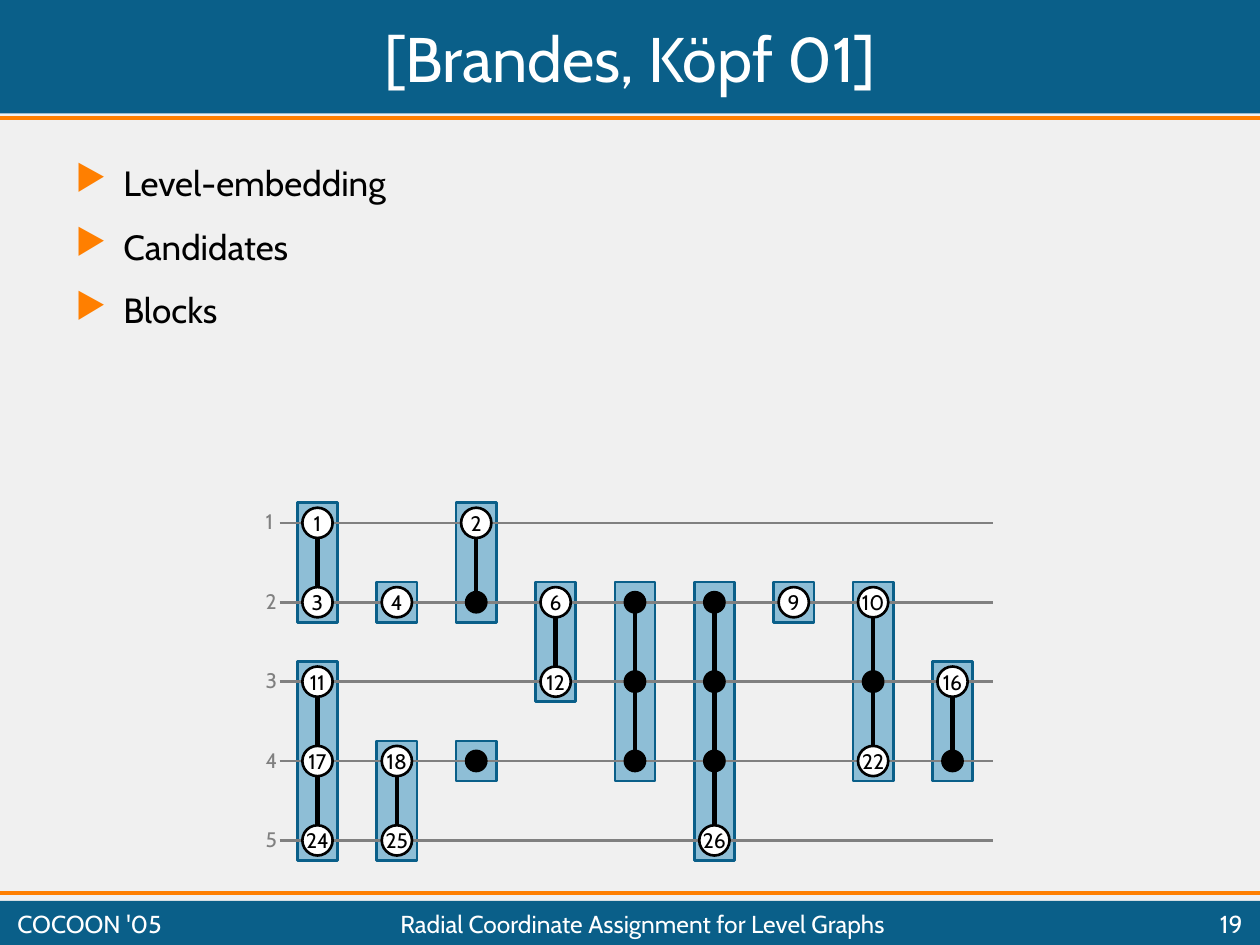
from dataclasses import dataclass
from lxml import etree
from pptx import Presentation
from pptx.dml.color import RGBColor
from pptx.enum import shapes, text
from pptx.oxml.ns import qn
from pptx.util import Inches, Pt


@dataclass(frozen=True)
class Theme:
    font: str = "Cabin"
    background: str = "F0F0F0"
    band: str = "0A5F89"
    accent: str = "FF7F00"
    block: str = "8EBED6"
    level: str = "808080"
    ink: str = "000000"
    paper: str = "FFFFFF"
    title_size: float = 36
    body_size: float = 20
    footer_size: float = 14
    label_size: float = 12


theme = Theme()
WIDTH, HEIGHT = 10, 7.5
STEP = 0.63
BLOCK = 0.32
columns = [2.52 + STEP * column for column in range(9)]
rows = [4.15 + STEP * row for row in range(5)]

presentation = Presentation()
presentation.slide_width = Inches(WIDTH)
presentation.slide_height = Inches(HEIGHT)
slide = presentation.slides.add_slide(presentation.slide_layouts[6])
slide.background.fill.solid()
slide.background.fill.fore_color.rgb = RGBColor.from_string(theme.background)


def add_filled(kind, left, top, width, height, fill, line=None):
    shape = slide.shapes.add_shape(kind, *map(Inches, (left, top, width, height)))
    shape.shadow.inherit = False
    shape.fill.solid()
    shape.fill.fore_color.rgb = RGBColor.from_string(fill)
    if line:
        shape.line.color.rgb = RGBColor.from_string(line)
        shape.line.width = Pt(1.5)
    else:
        shape.line.fill.background()
    return shape


def write(shape, content, size, color, align="LEFT", anchor="MIDDLE", wrap=True):
    frame = shape.text_frame
    frame.text = content
    frame.word_wrap = wrap
    frame.vertical_anchor = text.MSO_ANCHOR[anchor]
    for paragraph in frame.paragraphs:
        paragraph.alignment = text.PP_ALIGN[align]
        for run in paragraph.runs:
            run.font.name = theme.font
            run.font.size = Pt(size)
            run.font.color.rgb = RGBColor.from_string(color)
    return frame


RECTANGLE, OVAL = shapes.MSO_SHAPE.RECTANGLE, shapes.MSO_SHAPE.OVAL
for top, height in [(0, 0.9), (7.15, 0.35)]:
    add_filled(RECTANGLE, 0, top, WIDTH, height, theme.band)

blocks = [
    (0, 0, ["1", "3"]),
    (0, 2, ["11", "17", "24"]),
    (1, 1, ["4"]),
    (1, 3, ["18", "25"]),
    (2, 0, ["2", ""]),
    (2, 3, [""]),
    (3, 1, ["6", "12"]),
    (4, 1, ["", "", ""]),
    (5, 1, ["", "", "", "26"]),
    (6, 1, ["9"]),
    (7, 1, ["10", "", "22"]),
    (8, 2, ["16", ""]),
]
lines = [(0, y, WIDTH, y, theme.accent, 2.25) for y in (0.94, 7.09)]
lines += [(2.22, y, 7.88, y, theme.level, 1.5) for y in rows]
for column, first, names in blocks:
    x, last = columns[column], first + len(names) - 1
    add_filled(RECTANGLE, x - BLOCK / 2, rows[first] - BLOCK / 2,
               BLOCK, BLOCK + STEP * (last - first), theme.block, theme.band)
    lines += [(x, rows[row], x, rows[row + 1], theme.ink, 2.5) for row in range(first, last)]

for *ends, color, width in lines:
    connector = slide.shapes.add_connector(shapes.MSO_CONNECTOR.STRAIGHT, *map(Inches, ends))
    connector.line.color.rgb = RGBColor.from_string(color)
    connector.line.width = Pt(width)
    etree.SubElement(connector._element.spPr, qn("a:effectLst"))

for column, first, names in blocks:
    for row, name in enumerate(names, first):
        size = 0.24 if name else 0.16
        node = add_filled(OVAL, columns[column] - size / 2, rows[row] - size / 2, size, size,
                          theme.paper if name else theme.ink, theme.ink)
        if name:
            write(node, name, theme.label_size, theme.ink, "CENTER", wrap=False)

for number, y in enumerate(rows, 1):
    label = slide.shapes.add_textbox(*map(Inches, (2.01, y - 0.16, 0.29, 0.3)))
    write(label, str(number), theme.label_size, theme.level, anchor="TOP", wrap=False)

captions = [
    (0.04, 0.04, 9.92, 0.83, "[Brandes, Köpf 01]", theme.title_size, "CENTER"),
    (0.04, 7.19, 1.44, 0.28, "COCOON '05", theme.footer_size, "LEFT"),
    (1.5, 7.19, 7.2, 0.28, "Radial Coordinate Assignment for Level Graphs", theme.footer_size, "CENTER"),
    (8.78, 7.19, 1.18, 0.28, "19", theme.footer_size, "RIGHT"),
]
for *bounds, content, size, align in captions:
    caption = slide.shapes.add_textbox(*map(Inches, bounds))
    write(caption, content, size, theme.paper, align)

body = slide.shapes.add_textbox(*map(Inches, (0.5, 1.23, 8.91, 2.52)))
frame = write(body, "Level-embedding\nCandidates\nBlocks", theme.body_size, theme.ink, anchor="TOP")
for index, paragraph in enumerate(frame.paragraphs):
    paragraph.space_before = Pt(12.5 if index else 0)
    properties = paragraph._p.get_or_add_pPr()
    properties.set("marL", str(Inches(0.38)))
    properties.set("indent", str(Inches(-0.38)))
    bullet_color = etree.SubElement(properties, qn("a:buClr"))
    etree.SubElement(bullet_color, qn("a:srgbClr"), val=theme.accent)
    etree.SubElement(properties, qn("a:buChar"), char="▶")

presentation.save("out.pptx")
